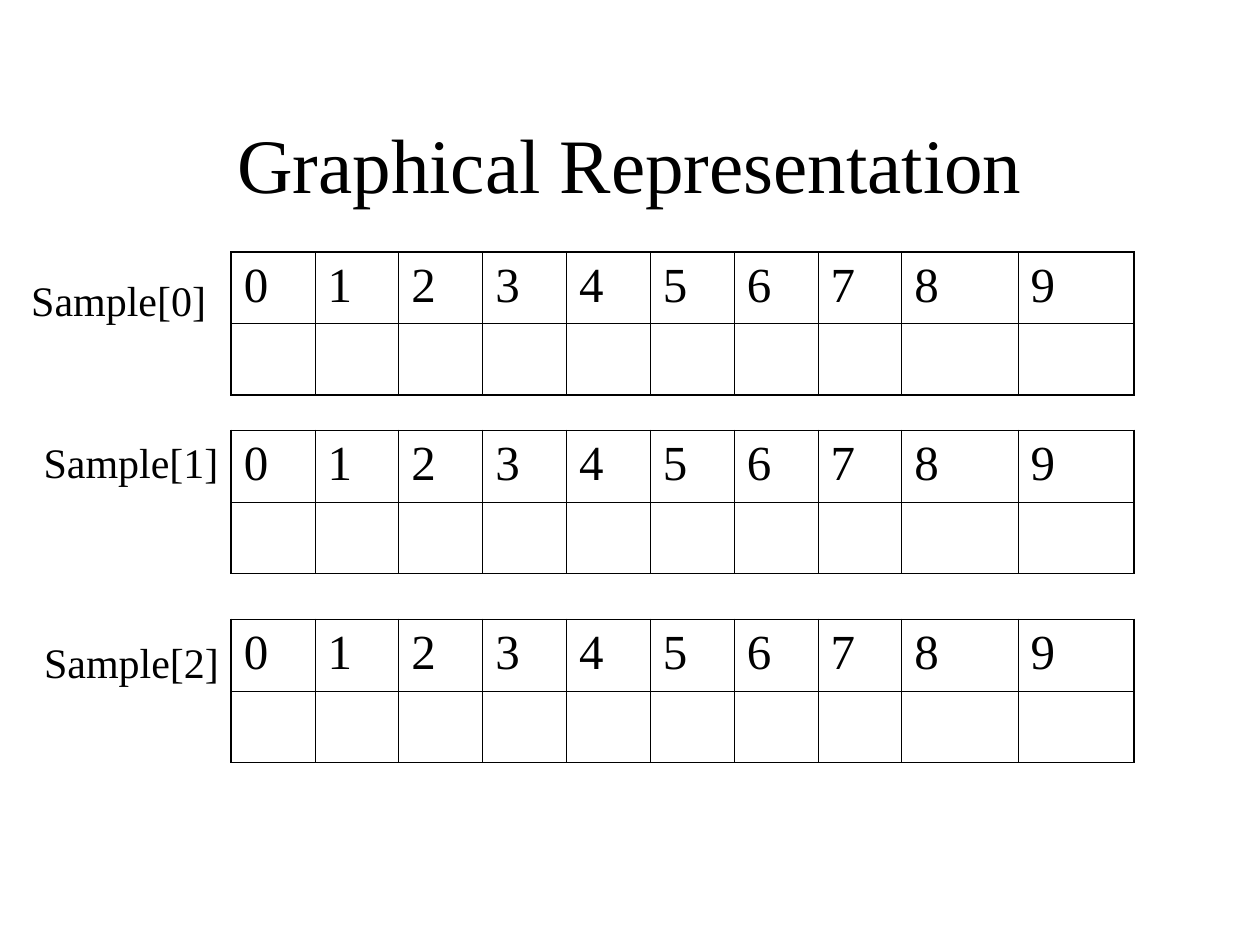
from lxml.etree import SubElement
from pptx import Presentation
from pptx.dml.color import RGBColor
from pptx.enum.text import MSO_ANCHOR, MSO_AUTO_SIZE, PP_ALIGN
from pptx.oxml.ns import qn
from pptx.util import Cm, Pt

COLORS = {"text": "000000", "border": "000000"}
TITLE = {"size": Pt(44)}
LABEL = {"size": Pt(24)}
INDEX = {"size": Pt(28)}
THIN, THICK = Pt(0.45), Pt(1.08)

COL_WIDTHS = [1.69] * 8 + [2.34] * 2
ROW_HEIGHT = 1.44
TABLE_LEFT = 4.66


class SlideBuilder:
    """Holds the shared style and the current slide."""

    def __init__(self, slide, font="Times New Roman"):
        self.slide = slide
        self.font = font

    def add_run(self, p, text, fmt):
        r = p.add_run()
        r.text = text
        for name, value in {"name": self.font, **fmt}.items():
            setattr(r.font, name, value)
        r.font.color.rgb = RGBColor.from_string(COLORS["text"])

    def text(self, text, left, top, width, height, fmt, **frame):
        sp = self.slide.shapes.add_textbox(Cm(left), Cm(top), Cm(width), Cm(height))
        tf = sp.text_frame
        for name, value in frame.items():
            setattr(tf, name, value)
        p = tf.paragraphs[0]
        self.add_run(p, text, fmt)
        return p

    def border(self, cell, widths):
        tc_pr = cell._tc.get_or_add_tcPr()
        for side, width in widths.items():
            ln = SubElement(tc_pr, qn(f"a:ln{side}"), w=str(int(width)))
            fill = SubElement(ln, qn("a:solidFill"))
            SubElement(fill, qn("a:srgbClr"), val=COLORS["border"])

    def array_table(self, left, top):
        cols, rows = len(COL_WIDTHS), 2
        frame = self.slide.shapes.add_table(
            rows, cols, Cm(left), Cm(top), Cm(sum(COL_WIDTHS)), Cm(rows * ROW_HEIGHT))
        table = frame.table
        table.first_row = table.horz_banding = False
        for col, width in zip(table.columns, COL_WIDTHS):
            col.width = Cm(width)
        for i, row in enumerate(table.rows):
            row.height = Cm(ROW_HEIGHT)
            for j, cell in enumerate(row.cells):
                # Thick outline, thin inner lines
                self.border(cell, {
                    "L": THICK if j == 0 else THIN,
                    "R": THICK if j == cols - 1 else THIN,
                    "T": THICK if i == 0 else THIN,
                    "B": THICK if i == rows - 1 else THIN,
                })
                cell.fill.background()
                if i == 0:
                    self.add_run(cell.text_frame.paragraphs[0], str(j), INDEX)


def main():
    prs = Presentation()
    prs.slide_width, prs.slide_height = Cm(25.4), Cm(19.05)
    s = SlideBuilder(prs.slides.add_slide(prs.slide_layouts[6]))

    # Title
    p = s.text("Graphical Representation", 1.9, 1.7, 21.6, 3.17, TITLE,
               word_wrap=True, vertical_anchor=MSO_ANCHOR.MIDDLE)
    p.alignment = PP_ALIGN.CENTER

    # One index table per array, with its label: table top, label left, label top
    arrays = [(5.08, 0.38, 5.41), (8.68, 0.63, 8.68), (12.49, 0.64, 12.7)]
    for n, (table_top, label_left, label_top) in enumerate(arrays):
        s.array_table(TABLE_LEFT, table_top)
        s.text(f"Sample[{n}]", label_left, label_top, 4.04, 1.27, LABEL,
               word_wrap=False, auto_size=MSO_AUTO_SIZE.SHAPE_TO_FIT_TEXT)

    prs.save("out.pptx")


if __name__ == "__main__":
    main()
